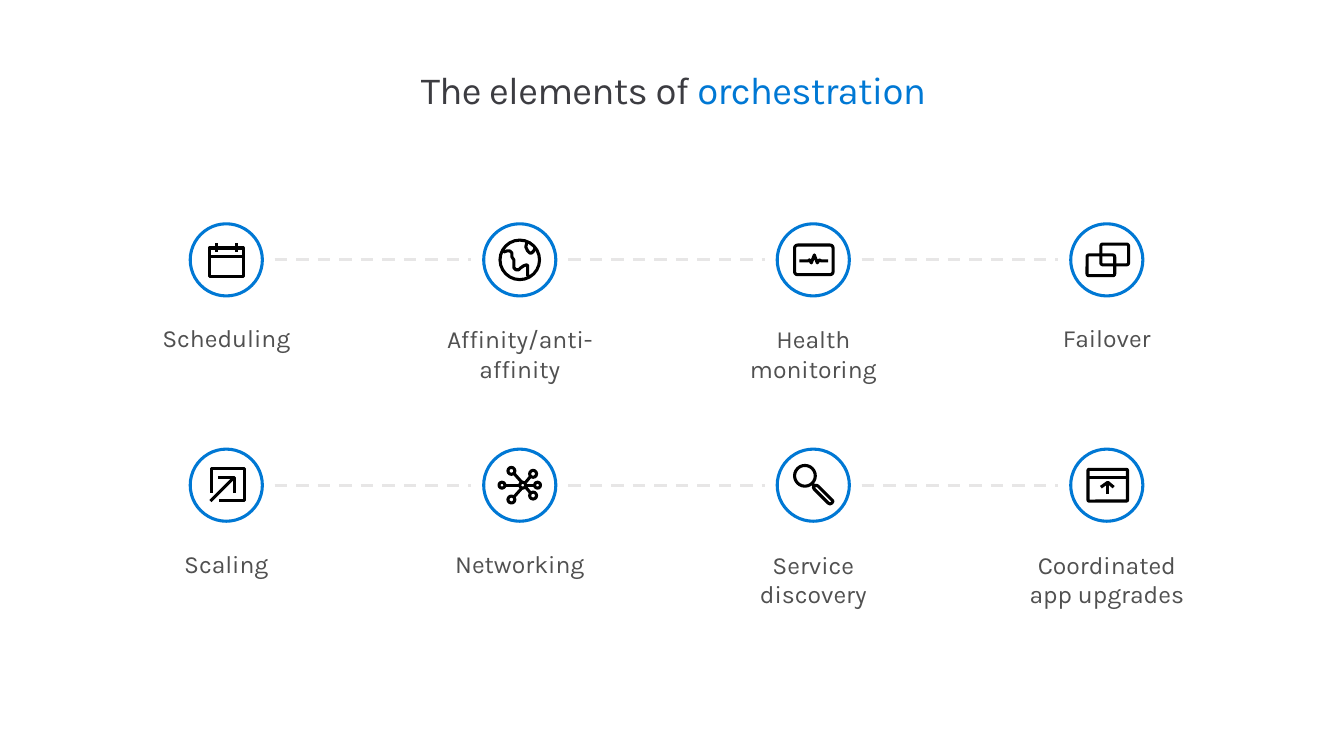
import pptx
import pptx.util
import pptx.dml.color
import pptx.enum.dml
import pptx.enum.shapes
import pptx.enum.text
import pptx.oxml.ns
from lxml import etree
from pptx.util import Inches

COLORS = {"title": "3C3C41", "blue": "0078D4", "label": "505050",
          "dash": "E7E6E6", "icon": "000000", "white": "FFFFFF"}
FONT = "Karla"
LEFT, TOP = 2.29, 2.63          # centre of the first circle
COL_STEP, ROW_STEP = 2.97, 2.28
CIRCLE = 0.73
GAP = 0.49                      # from a circle's centre to its line or label

KINDS = {"box": pptx.enum.shapes.MSO_SHAPE.RECTANGLE,
         "round": pptx.enum.shapes.MSO_SHAPE.ROUNDED_RECTANGLE,
         "ring": pptx.enum.shapes.MSO_SHAPE.OVAL}

# Icon parts in hundredths of an inch from the circle's centre.
# Shapes: left, top, width, height (and corner); paths: points.
CALENDAR = [("box", -17, -12, 34, 29),
            ("path", (-10, -17), (-10, -8)),
            ("path", (10, -17), (10, -8)),
            ("path", (-17, -3), (17, -3))]
GLOBE = [("ring", -20, -20, 40, 40),
         ("path", (10, 17), (8, 16), (8, 10), (8, 6), (7, 5), (4, 6), (1, 8),
          (-1, 10), (-4, 10), (-6, 8), (-6, 5), (-6, 0), (-8, -3), (-8, -7),
          (-10, -9), (-13, -9), (-16, -8), (-17, -10)),
         ("path", (17, -11), (15, -11), (14, -9), (12, -7), (10, -7), (8, -9),
          (6, -13), (7, -17), (7, -18))]
PULSE = [("round", -19, -15, 39, 30, 0.1),
         ("path", (-14, 1), (-5, 1), (-4, 0), (-2, 3), (1, -5), (4, 3),
          (6, 0), (8, 1), (15, 1))]
PANES = [("round", -6, -16, 28, 21, 0.09), ("round", -20, -5, 28, 21, 0.09)]
SCALE = [("path", (8, 8), (8, -8), (-8, -8)),
         ("path", (-7, 15), (18, 15), (18, -17), (-15, -17), (-15, 8)),
         ("path", (8, -8), (-16, 16))]
NETWORK = [("ring", 0, -3, 6, 6), ("ring", 15, -3, 6, 6),
           ("ring", -21, -3, 6, 6), ("ring", 10, 7, 7, 7),
           ("ring", -12, 11, 7, 7), ("ring", 10, -15, 7, 7),
           ("ring", -12, -18, 7, 7),
           ("path", (15, 0), (7, 0)), ("path", (0, 0), (-15, 0)),
           ("path", (-6, 12), (2, 3)), ("path", (6, 2), (11, 8)),
           ("path", (-6, -12), (2, -3)), ("path", (6, -3), (11, -9))]
SEARCH = [("ring", -19, -20, 21, 21),
          ("path", (1, 4), (15, 18), (17, 19), (19, 18), (20, 16), (19, 15),
           (5, 1), (3, 0), (1, 1), (0, 2), (1, 4)),
          ("path", (-1, -2), (1, 1))]
UPGRADE = [("round", -19, -16, 40, 32, 0.03),
           ("path", (-18, -8), (21, -8)),
           ("path", (1, 9), (1, -3)),
           ("path", (-6, 2), (1, -3), (7, 2))]

# Each row: label, label width, icon
ROWS = [
    [("Scheduling", 1.81, CALENDAR), ("Affinity/anti-affinity", 2.25, GLOBE),
     ("Health monitoring", 1.81, PULSE), ("Failover", 1.81, PANES)],
    [("Scaling", 1.81, SCALE), ("Networking", 2.25, NETWORK),
     ("Service discovery", 1.81, SEARCH),
     ("Coordinated app upgrades", 2.02, UPGRADE)],
]


def rgb(name):
    return pptx.dml.color.RGBColor.from_string(COLORS[name])


def outline(shape, color):
    shape.line.color.rgb = rgb(color)
    shape.line.width = pptx.util.Pt(2.25)


def add_line(slide, start, end, color):
    line = slide.shapes.add_connector(
        pptx.enum.shapes.MSO_CONNECTOR.STRAIGHT,
        *(Inches(v) for v in (*start, *end)))
    outline(line, color)
    etree.SubElement(line._element.spPr, pptx.oxml.ns.qn("a:effectLst"))
    return line


def add_shape(slide, kind, box, color, fill=None):
    shape = slide.shapes.add_shape(KINDS[kind], *(Inches(v) for v in box))
    shape.shadow.inherit = False
    outline(shape, color)
    if fill:
        shape.fill.solid()
        shape.fill.fore_color.rgb = rgb(fill)
    else:
        shape.fill.background()
    return shape


def add_path(slide, points):
    """Draw an unfilled icon stroke; it closes if it ends where it began."""
    first, *rest = [(Inches(x), Inches(y)) for x, y in points]
    pen = slide.shapes.build_freeform(*first)
    pen.add_line_segments(rest, close=first == rest[-1])
    shape = pen.convert_to_shape()
    shape.shadow.inherit = False
    shape.fill.background()
    outline(shape, "icon")


def add_icon(slide, x, y, parts):
    for kind, *data in parts:
        if kind == "path":
            points = [(x + dx / 100, y + dy / 100) for dx, dy in data]
            if len(points) == 2:
                add_line(slide, *points, "icon")
            else:
                add_path(slide, points)
        else:
            left, top, width, height, *corner = data
            box = (x + left / 100, y + top / 100, width / 100, height / 100)
            shape = add_shape(slide, kind, box, "icon")
            if corner:
                shape.adjustments[0] = corner[0]


def add_label(slide, x, y, text, width):
    height = 0.93 if " " in text or "/" in text else 0.63
    box = slide.shapes.add_textbox(Inches(x - width / 2), Inches(y),
                                   Inches(width), Inches(height))
    frame = box.text_frame
    frame.word_wrap = True
    frame.auto_size = pptx.enum.text.MSO_AUTO_SIZE.SHAPE_TO_FIT_TEXT
    frame.margin_left = frame.margin_right = Inches(0.16)
    frame.margin_top = frame.margin_bottom = Inches(0.16)
    para = frame.paragraphs[0]
    para.text = text
    para.alignment = pptx.enum.text.PP_ALIGN.CENTER
    para.space_after = pptx.util.Pt(24)
    para.font.name = FONT
    para.font.size = pptx.util.Pt(18)
    para.font.color.rgb = rgb("label")


def set_title(slide):
    title = slide.shapes.title
    title.left, title.top = Inches(0.51), Inches(0.69)
    title.width, title.height = Inches(12.61), Inches(0.45)
    frame = title.text_frame
    frame.margin_left = frame.margin_right = 0
    frame.margin_top = frame.margin_bottom = 0
    frame.vertical_anchor = pptx.enum.text.MSO_ANCHOR.TOP
    frame.auto_size = pptx.enum.text.MSO_AUTO_SIZE.SHAPE_TO_FIT_TEXT
    para = frame.paragraphs[0]
    para.alignment = pptx.enum.text.PP_ALIGN.CENTER
    para.line_spacing = pptx.util.Pt(32)
    for text, color in (("The elements of ", "title"),
                        ("orchestration", "blue")):
        run = para.add_run()
        run.text = text
        run.font.name = FONT
        run.font.size = pptx.util.Pt(28)
        run.font.color.rgb = rgb(color)
        run._r.get_or_add_rPr().set("spc", "-50")


def add_row(slide, y, items):
    for col, (text, width, icon) in enumerate(items):
        x = LEFT + col * COL_STEP
        if col < len(items) - 1:
            line = add_line(slide, (x + GAP, y), (x + COL_STEP - GAP, y),
                            "dash")
            line.line.dash_style = pptx.enum.dml.MSO_LINE.DASH
        circle = (x - CIRCLE / 2, y - CIRCLE / 2, CIRCLE, CIRCLE)
        add_shape(slide, "ring", circle, "blue", "white")
        add_icon(slide, x, y, icon)
        add_label(slide, x, y + GAP, text, width)


def main():
    deck = pptx.Presentation()
    deck.slide_width, deck.slide_height = Inches(13.6), Inches(7.65)
    slide = deck.slides.add_slide(deck.slide_layouts[5])
    set_title(slide)
    for row, items in enumerate(ROWS):
        add_row(slide, TOP + row * ROW_STEP, items)
    deck.save("out.pptx")


if __name__ == "__main__":
    main()
